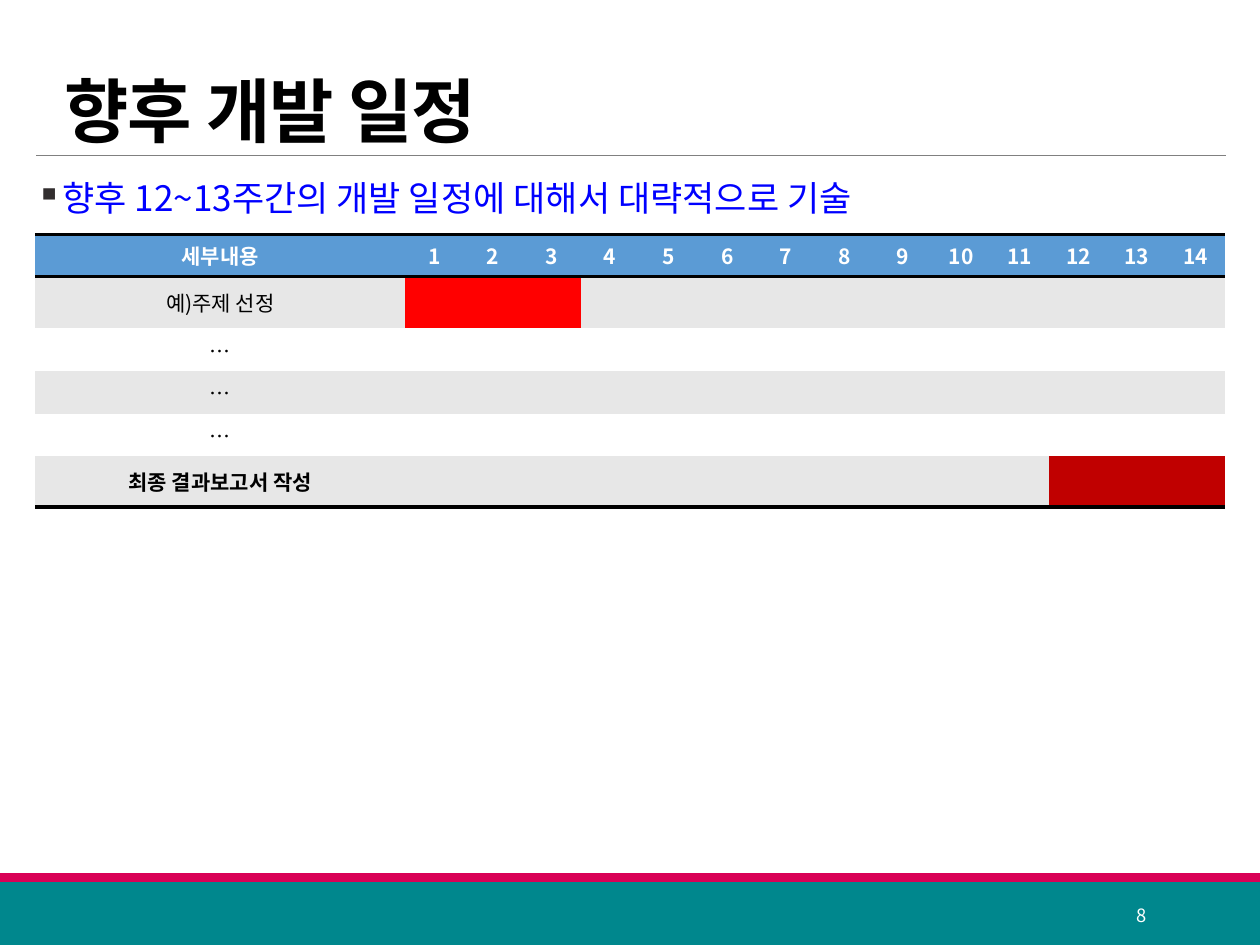
from lxml.etree import SubElement
from pptx import Presentation
from pptx.dml.color import RGBColor
from pptx.enum.shapes import MSO_CONNECTOR, MSO_SHAPE
from pptx.enum.text import MSO_ANCHOR, PP_ALIGN
from pptx.oxml.ns import qn
from pptx.util import Cm, Pt

FONT = "Noto Sans CJK KR"
BLACK = RGBColor(0x00, 0x00, 0x00)
WHITE = RGBColor(0xFF, 0xFF, 0xFF)
GRAY = RGBColor(0x80, 0x80, 0x80)
BAND = RGBColor(0xE7, 0xE7, 0xE7)
HEADER = RGBColor(0x5B, 0x9B, 0xD5)
BLUE = RGBColor(0x00, 0x00, 0xFF)
BULLET = RGBColor(0x32, 0x2E, 0x2F)
TEAL = RGBColor(0x00, 0x87, 0x8D)
MAGENTA = RGBColor(0xD9, 0x01, 0x56)
RED = RGBColor(0xFF, 0x00, 0x00)
DARK_RED = RGBColor(0xC0, 0x00, 0x00)
NO_STYLE = "{2D5ABB26-0587-4C30-8999-92F81FD0307C}"

TITLE = "향후 개발 일정"
SUMMARY = "향후 12~13주간의 개발 일정에 대해서 대략적으로 기술"
PAGE_NUMBER = "8"
WEEKS = 14
TASKS = [
    {"name": "예)주제 선정", "height": 1.04, "weeks": range(1, 4), "color": RED},
    {"name": "…"},
    {"name": "…"},
    {"name": "…"},
    {"name": "최종 결과보고서 작성", "height": 1.02, "weeks": range(12, 15),
     "color": DARK_RED, "bold": True},
]
FOOTER_BARS = [(17.78, 1.27, TEAL), (17.6, 0.18, MAGENTA)]
LEFT, WIDTH = 0.73, 23.98
TABLE_LEFT, TABLE_TOP = 0.71, 4.72
NAME_WIDTH, WEEK_WIDTH, ROW_HEIGHT = 7.46, 1.18, 0.86


def write(para, text, size, color, bold=False, align=PP_ALIGN.LEFT, spacing=None):
    para.alignment = align
    span = para.add_run()
    span.text = text
    span.font.size = Pt(size)
    span.font.bold = bold
    span.font.name = FONT
    span.font.color.rgb = color
    properties = span.font._element
    SubElement(properties, qn("a:ea"), typeface=FONT)
    if spacing is not None:
        properties.set("spc", str(spacing))


def add_box(page, left, top, width, height, anchor):
    box = page.shapes.add_textbox(Cm(left), Cm(top), Cm(width), Cm(height))
    frame = box.text_frame
    frame.word_wrap = True
    frame.vertical_anchor = anchor
    return frame


def add_frame(page):
    for top, height, color in FOOTER_BARS:
        bar = page.shapes.add_shape(
            MSO_SHAPE.RECTANGLE, 0, Cm(top), Cm(25.4), Cm(height))
        bar.shadow.inherit = False
        bar.fill.solid()
        bar.fill.fore_color.rgb = color
        bar.line.fill.background()
    rule = page.shapes.add_connector(
        MSO_CONNECTOR.STRAIGHT, Cm(LEFT), Cm(3.13), Cm(LEFT + WIDTH), Cm(3.13))
    rule.line.color.rgb = GRAY
    rule.line.width = Pt(0.5)
    SubElement(rule._element.spPr, qn("a:effectLst"))


def add_texts(page):
    title = add_box(page, LEFT, 0.79, WIDTH, 2.26, MSO_ANCHOR.BOTTOM)
    title.margin_left = Cm(0.57)
    title.margin_bottom = 0
    write(title.paragraphs[0], TITLE, 40, BLACK, bold=True, spacing=-50)

    body = add_box(page, LEFT, 3.53, WIDTH, 13.59, MSO_ANCHOR.TOP)
    body.margin_left = body.margin_right = 0
    para = body.paragraphs[0]
    para.line_spacing = 0.9
    properties = para._p.get_or_add_pPr()
    properties.set("marL", str(Cm(0.42)))
    properties.set("indent", str(-Cm(0.42)))
    color = SubElement(properties, qn("a:buClr"))
    SubElement(color, qn("a:srgbClr"), val=str(BULLET))
    SubElement(properties, qn("a:buChar"), char="▪")
    write(para, SUMMARY, 20, BLUE)

    number = add_box(page, 20.62, 17.93, 2.74, 1.02, MSO_ANCHOR.MIDDLE)
    write(number.paragraphs[0], PAGE_NUMBER, 10.5, WHITE, align=PP_ALIGN.RIGHT)


def format_cell(cell, text, fill, edges=(), color=BLACK, bold=False):
    properties = cell._tc.get_or_add_tcPr()
    for edge in edges:
        line = SubElement(properties, qn(f"a:{edge}"), w=str(Pt(2)))
        solid = SubElement(line, qn("a:solidFill"))
        SubElement(solid, qn("a:srgbClr"), val=str(BLACK))
    cell.fill.solid()
    cell.fill.fore_color.rgb = fill
    cell.vertical_anchor = MSO_ANCHOR.MIDDLE
    para = cell.text_frame.paragraphs[0]
    if text:
        write(para, text, 12, color, bold=bold, align=PP_ALIGN.CENTER)
    else:
        SubElement(para._p, qn("a:endParaRPr"), sz="1200")


def add_schedule(page):
    heights = [ROW_HEIGHT] + [task.get("height", ROW_HEIGHT) for task in TASKS]
    widths = [NAME_WIDTH] + [WEEK_WIDTH] * WEEKS
    table = page.shapes.add_table(
        len(heights), len(widths), Cm(TABLE_LEFT), Cm(TABLE_TOP),
        Cm(sum(widths)), Cm(sum(heights))).table
    table.first_row = table.horz_banding = False
    table._tbl.tblPr.find(qn("a:tableStyleId")).text = NO_STYLE
    for row, height in zip(table.rows, heights):
        row.height = Cm(height)
    for column, width in zip(table.columns, widths):
        column.width = Cm(width)

    for week in range(WEEKS + 1):
        format_cell(table.cell(0, week), str(week) if week else "세부내용",
                    HEADER, ("lnT", "lnB"), WHITE, True)
    for row, task in enumerate(TASKS, start=1):
        band = BAND if row % 2 else WHITE
        edges = ("lnB",) if row == len(TASKS) else ()
        for week in range(WEEKS + 1):
            active = week in task.get("weeks", ())
            format_cell(table.cell(row, week), "" if week else task["name"],
                        task["color"] if active else band, edges,
                        bold=task.get("bold", False))


def main():
    deck = Presentation()
    deck.slide_width, deck.slide_height = Cm(25.4), Cm(19.05)
    page = deck.slides.add_slide(deck.slide_layouts[6])
    add_frame(page)
    add_texts(page)
    add_schedule(page)
    deck.save("out.pptx")


if __name__ == "__main__":
    main()
